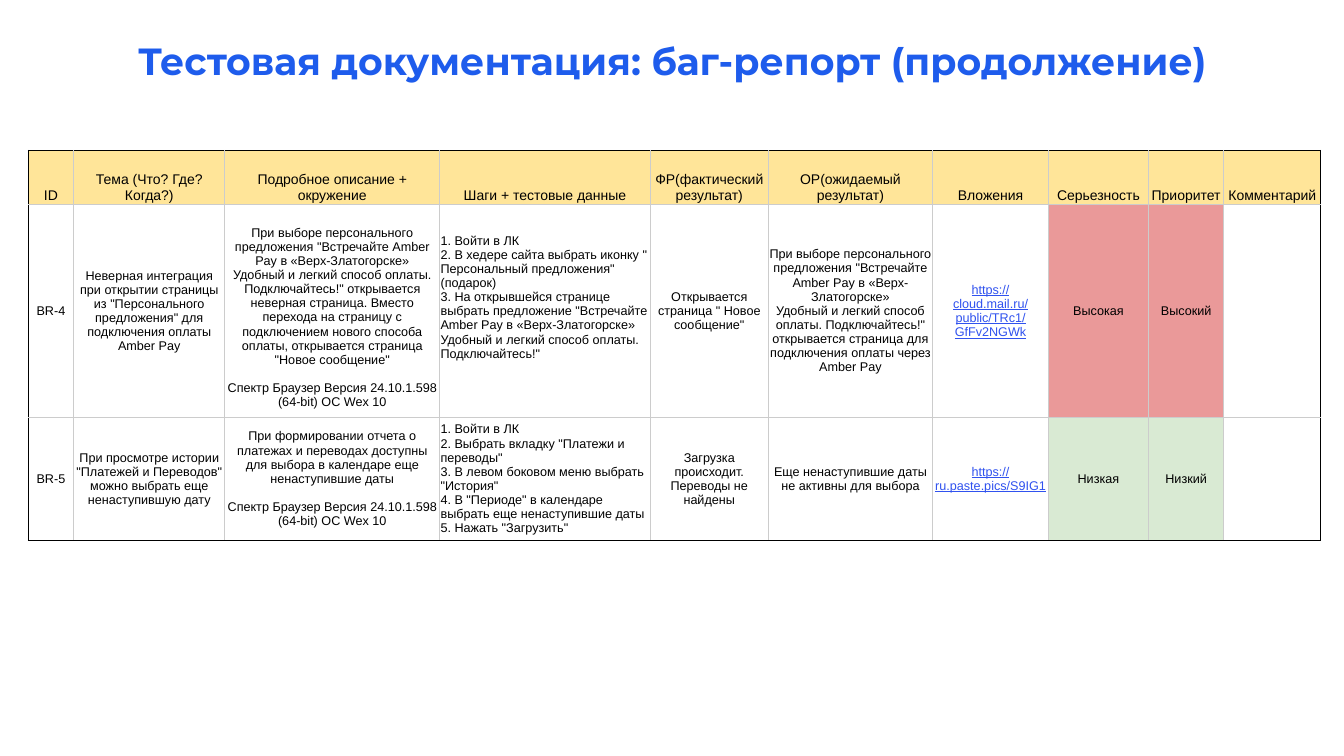
from dataclasses import dataclass

from lxml import etree
from pptx import Presentation
from pptx import util as u
from pptx.dml.color import RGBColor
from pptx.enum import text
from pptx.oxml import ns


@dataclass(frozen=True)
class Theme:
    title: str = "1E5CEC"
    ink: str = "000000"
    paper: str = "FFFFFF"
    head: str = "FFE599"
    high: str = "EA9999"
    low: str = "D9EAD3"
    link: str = "3052EF"
    grid: str = "CCCCCC"
    font: str = "Arial"
    face: str = "Montserrat"
    big: float = 27
    label: float = 10
    body: float = 9


THEME = Theme()
LINE = 0.14  # height of one body line, in inches
WIDTHS = [0.45, 1.5, 2.13, 2.09, 1.17, 1.63, 1.15, 0.99, 0.75, 0.96]
HEIGHTS = [0.54, 2.11, 1.22]
STEPS, LINKS, LEVELS = 3, 6, (7, 8)

HEADS = [
    "ID", "Тема (Что? Где? Когда?)", "Подробное описание + окружение",
    "Шаги + тестовые данные", "ФР(фактический результат)",
    "ОР(ожидаемый результат)", "Вложения", "Серьезность", "Приоритет",
    "Комментарий",
]
OFFER = ('"Встречайте Amber Pay в «Верх-Златогорске»\n'
         'Удобный и легкий способ оплаты. Подключайтесь!"')
SETUP = "Спектр Браузер Версия 24.10.1.598 (64-bit) ОС Wex 10"
# A double line break marks a gap of one line before the next paragraph.
BUGS = [
    ["BR-4",
     'Неверная интеграция при открытии страницы из "Персонального '
     'предложения" для подключения оплаты Amber Pay',
     f"При выборе персонального предложения {OFFER} открывается неверная "
     "страница. Вместо перехода на страницу с подключением нового способа "
     f'оплаты, открывается страница "Новое сообщение"\n\n{SETUP}',
     '1. Войти в ЛК\n2. В хедере сайта выбрать иконку " Персональный '
     'предложения" (подарок)\n3. На открывшейся странице выбрать '
     f"предложение {OFFER}",
     'Открывается страница " Новое сообщение"',
     f"При выборе персонального предложения {OFFER} открывается страница "
     "для подключения оплаты через Amber Pay",
     "https://cloud.mail.ru/public/TRc1/GfFv2NGWk",
     "Высокая", "Высокий", ""],
    ["BR-5",
     'При просмотре истории "Платежей и Переводов" можно выбрать еще '
     "ненаступившую дату",
     "При формировании отчета о платежах и переводах доступны для выбора в "
     f"календаре еще ненаступившие даты\n\n{SETUP}",
     '1. Войти в ЛК\n2. Выбрать вкладку "Платежи и переводы"\n'
     '3. В левом боковом меню выбрать "История"\n4. В "Периоде" в календаре '
     'выбрать еще ненаступившие даты\n5. Нажать "Загрузить"',
     "Загрузка происходит.\nПереводы не найдены",
     "Еще ненаступившие даты не активны для выбора",
     "https://ru.paste.pics/S9IG1",
     "Низкая", "Низкий", ""],
]


def style(font, face, size, color):
    font.name, font.size = face, u.Pt(size)
    font.color.rgb = RGBColor.from_string(color)


def paint(fill, color):
    fill.solid()
    fill.fore_color.rgb = RGBColor.from_string(color)


def add_title(slide, words):
    title = slide.shapes.title
    title.left, title.top = u.Inches(1.12), u.Inches(0.21)
    title.width, title.height = u.Inches(11.09), u.Inches(0.72)
    paint(title.fill, THEME.paper)
    frame = title.text_frame
    frame.word_wrap = True
    frame.auto_size = text.MSO_AUTO_SIZE.SHAPE_TO_FIT_TEXT
    frame.vertical_anchor = text.MSO_ANCHOR.TOP
    frame.margin_left = frame.margin_right = u.Inches(0.1)
    frame.margin_top = frame.margin_bottom = u.Inches(0.1)
    para = frame.paragraphs[0]
    para.text = words
    para.alignment = text.PP_ALIGN.CENTER
    para.line_spacing = 1.15
    style(para.font, THEME.face, THEME.big, THEME.title)
    para.font.bold = True


def set_edges(cell, outer):
    """Draw four borders: black where outer is true, grey elsewhere."""
    props = cell._tc.get_or_add_tcPr()
    for spot, side in enumerate("LRTB"):
        line = etree.Element(ns.qn(f"a:ln{side}"), w=str(u.Pt(0.75)))
        fill = etree.SubElement(line, ns.qn("a:solidFill"))
        color = THEME.ink if outer[side] else THEME.grid
        etree.SubElement(fill, ns.qn("a:srgbClr"), val=color)
        props.insert(spot, line)


def set_text(cell, words, size, color, align):
    frame = cell.text_frame
    para = frame.paragraphs[0]
    for part, block in enumerate(words.split("\n\n")):
        for row, line in enumerate(block.split("\n")):
            if part or row:
                para = frame.add_paragraph()
            para.text = line
            para.alignment = align
            if part and not row:
                para.space_before = u.Inches(LINE)
            style(para.font, THEME.font, size, color)
            para.font.underline = color == THEME.link


def fill_cell(cell, words, row, col):
    head = row == 0
    cell.margin_left = cell.margin_right = u.Inches(0.02 if head else 0.01)
    cell.margin_top = cell.margin_bottom = u.Inches(0.01)
    anchor = text.MSO_ANCHOR
    cell.vertical_anchor = anchor.BOTTOM if head else anchor.MIDDLE
    left = col == STEPS and not head
    align = text.PP_ALIGN.LEFT if left else text.PP_ALIGN.CENTER
    color = THEME.link if col == LINKS and not head else THEME.ink
    set_text(cell, words, THEME.label if head else THEME.body, color, align)
    if head:
        paint(cell.fill, THEME.head)
    elif col in LEVELS:
        paint(cell.fill, THEME.high if row == 1 else THEME.low)
    else:
        cell.fill.background()
    set_edges(cell, {"L": col == 0, "R": col == len(WIDTHS) - 1,
                     "T": head, "B": row == len(HEIGHTS) - 1})


def add_report(slide, rows):
    frame = slide.shapes.add_table(
        len(HEIGHTS), len(WIDTHS), u.Inches(0.28), u.Inches(1.49),
        u.Inches(sum(WIDTHS)), u.Inches(sum(HEIGHTS)))
    table = frame.table
    table.first_row = table.horz_banding = False
    for col, width in zip(table.columns, WIDTHS):
        col.width = u.Inches(width)
    for row, height in zip(table.rows, HEIGHTS):
        row.height = u.Inches(height)
    for y, row in enumerate(rows):
        for x, words in enumerate(row):
            fill_cell(table.cell(y, x), words, y, x)
    table.cell(1, 2).margin_top = u.Inches(LINE)
    table.cell(1, STEPS).margin_bottom = u.Inches(2 * LINE)


def main():
    deck = Presentation()
    deck.slide_width, deck.slide_height = u.Inches(13.33), u.Inches(7.5)
    slide = deck.slides.add_slide(deck.slide_layouts[5])
    add_title(slide, "Тестовая документация: баг-репорт (продолжение)")
    add_report(slide, [HEADS, *BUGS])
    deck.save("out.pptx")


if __name__ == "__main__":
    main()
